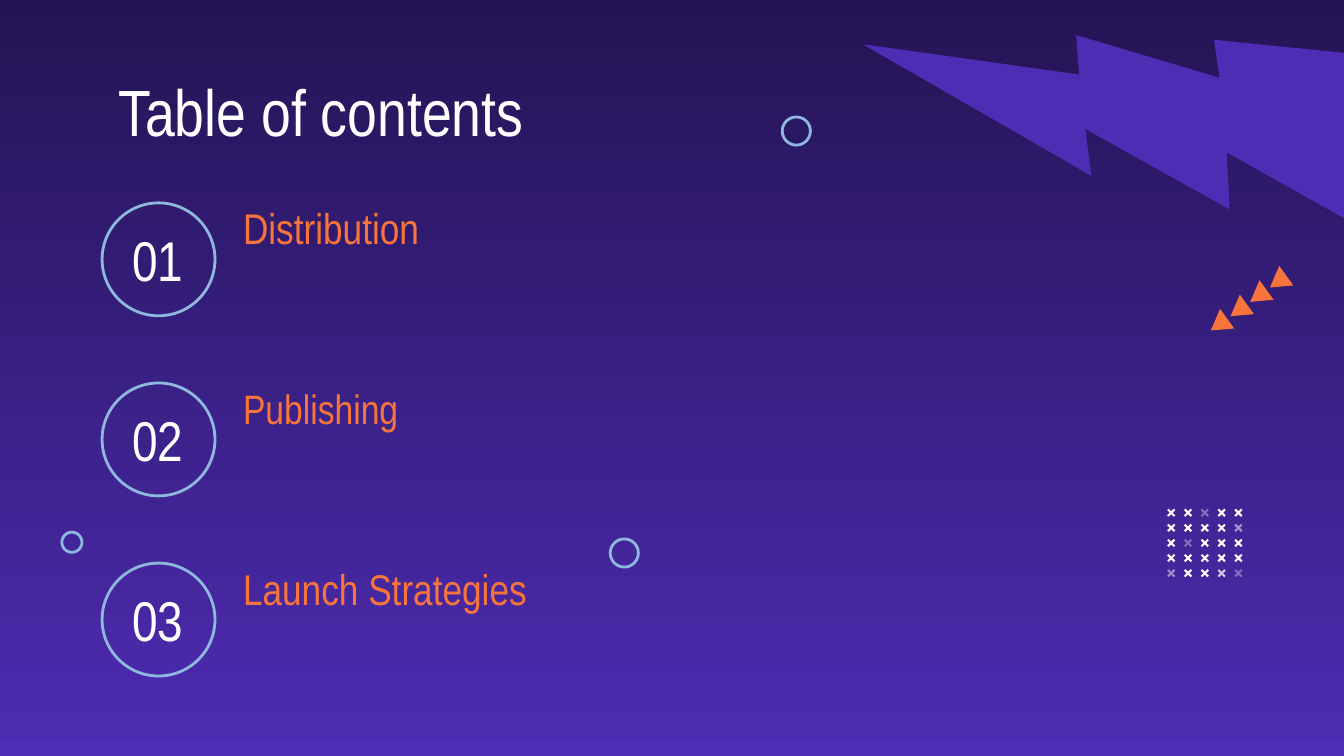
import pptx
import pptx.util
import pptx.dml.color
import pptx.enum.shapes
import pptx.enum.text
import pptx.oxml.ns
import lxml.etree

Inches = pptx.util.Inches
Pt = pptx.util.Pt
SHAPES = pptx.enum.shapes.MSO_SHAPE
ALIGN = pptx.enum.text.PP_ALIGN
ANCHOR = pptx.enum.text.MSO_ANCHOR
qn = pptx.oxml.ns.qn

INDIGO, PURPLE = "241454", "4E2CB3"
ORANGE, BLUE, WHITE = "F7743C", "8EB8DE", "FFFFFF"


def color(hex_string):
    return pptx.dml.color.RGBColor.from_string(hex_string)


def write(shape, text, size, hex_string, align, anchor):
    frame = shape.text_frame
    frame.text = text
    frame.word_wrap = True
    frame.auto_size = pptx.enum.text.MSO_AUTO_SIZE.NONE
    frame.vertical_anchor = anchor
    frame.margin_left = frame.margin_right = Inches(0.1)
    frame.margin_top = frame.margin_bottom = Inches(0.1)
    paragraph = frame.paragraphs[0]
    paragraph.alignment = align
    font = paragraph.runs[0].font
    font.name = "Arial Narrow"
    font.size = Pt(size)
    font.color.rgb = color(hex_string)


# 16:9 slide
presentation = pptx.Presentation()
presentation.slide_width = Inches(10)
presentation.slide_height = Inches(10 * 9 / 16)
slide = presentation.slides.add_slide(presentation.slide_layouts[5])
shapes = slide.shapes

# Background gradient, dark at the top
background = slide.background.fill
background.gradient()
background.gradient_angle = 270
for stop, hex_string in zip(background.gradient_stops, (INDIGO, PURPLE)):
    stop.color.rgb = color(hex_string)

# Title
title = shapes.title
title.left, title.top = Inches(0.78), Inches(0.43)
title.width, title.height = Inches(8.43), Inches(0.64)
write(title, "Table of contents", 35, WHITE, ALIGN.LEFT, ANCHOR.TOP)

# Lightning bolt in the corner
bolt = shapes.add_shape(SHAPES.LIGHTNING_BOLT, Inches(7), Inches(-0.68),
                        Inches(3.17), Inches(3.17))
bolt.rotation = 59.9
bolt._element.spPr.find(qn("a:xfrm")).set("flipH", "1")
bolt.shadow.inherit = False
bolt.fill.solid()
bolt.fill.fore_color.rgb = color(PURPLE)
bolt.line.fill.background()

# Rings: three around the numbers, three as decoration
section_tops = [1.51 + 1.34 * i for i in range(3)]
rings = [(0.76, top, 0.84) for top in section_tops]
rings += [(0.46, 3.96, 0.15), (5.82, 0.87, 0.21), (4.54, 4.01, 0.21)]
for left, top, size in rings:
    ring = shapes.add_shape(SHAPES.OVAL, Inches(left), Inches(top),
                            Inches(size), Inches(size))
    ring.shadow.inherit = False
    ring.fill.background()
    ring.line.color.rgb = color(BLUE)
    ring.line.width = Pt(1.5)

# Section numbers and names
sections = [("01", "Distribution", 23, 3.41), ("02", "Publishing", 22, 3.52),
            ("03", "Launch Strategies", 23, 3.41)]
for top, (number, name, size, width) in zip(section_tops, sections):
    number_box = shapes.add_textbox(Inches(0.73), Inches(top - 0.06),
                                    Inches(0.89), Inches(0.96))
    write(number_box, number, 30, WHITE, ALIGN.CENTER, ANCHOR.MIDDLE)
    name_box = shapes.add_textbox(Inches(1.71), Inches(top),
                                  Inches(width), Inches(0.37))
    write(name_box, name, size, ORANGE, ALIGN.LEFT, ANCHOR.MIDDLE)

# Grid of crosses, some faded: (row, column) -> opacity in percent
faded = {(0, 2): 36, (1, 4): 53, (2, 1): 34, (4, 0): 48, (4, 3): 75, (4, 4): 33}
for row in range(5):
    for column in range(5):
        cross = shapes.add_shape(
            SHAPES.CROSS, Inches(8.68 + 0.5 * column / 4),
            Inches(3.78 + 0.45 * row / 4), Inches(0.07), Inches(0.07))
        cross.adjustments[0] = 0.39
        cross.rotation = 315
        cross.shadow.inherit = False
        cross.fill.solid()
        cross.fill.fore_color.rgb = color(WHITE)
        cross.line.fill.background()
        if (row, column) in faded:
            fill_color = cross._element.spPr.find(".//" + qn("a:srgbClr"))
            alpha = lxml.etree.SubElement(fill_color, qn("a:alpha"))
            alpha.set("val", str(faded[row, column] * 1000))

# Diagonal row of triangles
for i in range(4):
    triangle = shapes.add_shape(
        SHAPES.ISOSCELES_TRIANGLE, Inches(9.42 - 0.44 * i / 3),
        Inches(2.02 + 0.32 * i / 3), Inches(0.18), Inches(0.15))
    triangle.rotation = 234.2
    triangle.shadow.inherit = False
    triangle.fill.solid()
    triangle.fill.fore_color.rgb = color(ORANGE)
    triangle.line.fill.background()

presentation.save("out.pptx")
